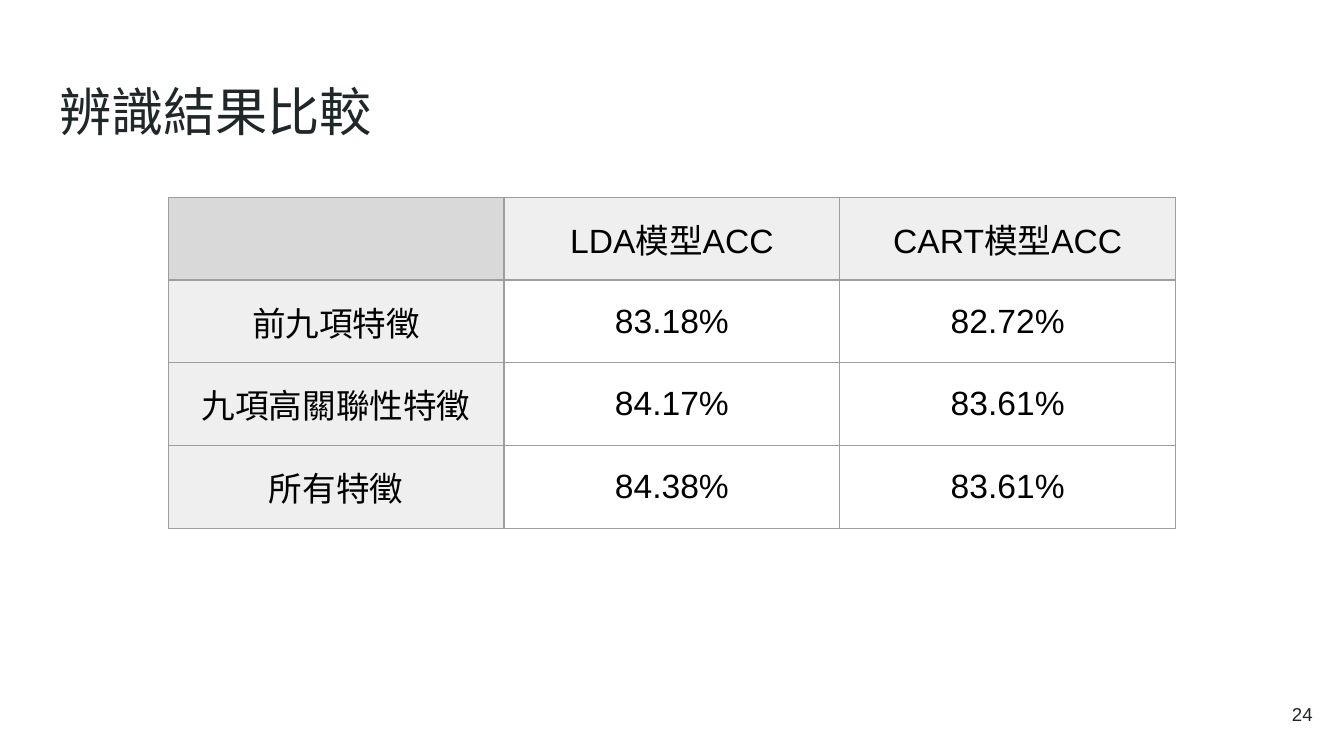
from lxml.etree import SubElement as add_child
from pptx import Presentation
from pptx.dml.color import RGBColor
from pptx.enum.text import MSO_ANCHOR as Anchor, PP_ALIGN as Align
from pptx.oxml.ns import qn
from pptx.util import Inches, Pt

WIDTH = Inches(10)
HEIGHT = WIDTH * 9 // 16
COLORS = {
    "title": "202729",
    "body": "000000",
    "corner": "D9D9D9",
    "header": "EFEFEF",
    "border": "9E9E9E",
}
MARGINS = {f"margin_{side}": Inches(0.1) for side in ("left", "right", "top", "bottom")}
RESULTS = [
    ["", "LDA模型ACC", "CART模型ACC"],
    ["前九項特徵", "83.18%", "82.72%"],
    ["九項高關聯性特徵", "84.17%", "83.61%"],
    ["所有特徵", "84.38%", "83.61%"],
]


def percent(left, top, width, height):
    """Turn percentages of the slide's size into a box."""
    return [round(part * side / 100) for part, side in
            zip((left, top, width, height), (WIDTH, HEIGHT) * 2)]


def set_all(target, values):
    for name, value in values.items():
        setattr(target, name, value)


def write(frame, text, size, color, align):
    para = frame.paragraphs[0]
    para.alignment = align
    span = para.add_run()
    span.text = text
    set_all(span.font, {"size": Pt(size), "name": "Arial"})
    span.font.color.rgb = RGBColor.from_string(COLORS[color])


def add_label(page, box, text, size, align, anchor):
    frame = page.shapes.add_textbox(*box).text_frame
    set_all(frame, {"word_wrap": True, "vertical_anchor": anchor, **MARGINS})
    write(frame, text, size, "title", align)


def draw_borders(cell):
    # Border lines must come before the fill in the cell properties
    properties = cell._tc.get_or_add_tcPr()
    for edge in ("lnL", "lnR", "lnT", "lnB"):
        line = add_child(properties, qn(f"a:{edge}"), w=str(Pt(0.75)))
        fill = add_child(line, qn("a:solidFill"))
        add_child(fill, qn("a:srgbClr"), val=COLORS["border"])


def add_results(page, box, rows):
    table = page.shapes.add_table(len(rows), len(rows[0]), *box).table
    set_all(table, {"first_row": False, "horz_banding": False})
    for r, row in enumerate(rows):
        for c, text in enumerate(row):
            cell = table.cell(r, c)
            set_all(cell, {"vertical_anchor": Anchor.MIDDLE, **MARGINS})
            draw_borders(cell)
            if r and c:
                cell.fill.background()
            else:
                cell.fill.solid()
                shade = "header" if r or c else "corner"
                cell.fill.fore_color.rgb = RGBColor.from_string(COLORS[shade])
            if text:
                write(cell.text_frame, text, 18, "body", Align.CENTER)


def main():
    deck = Presentation()
    set_all(deck, {"slide_width": WIDTH, "slide_height": HEIGHT})
    page = deck.slides.add_slide(deck.slide_layouts[6])

    # Title
    add_label(page, percent(3.41, 8.65, 93.2, 11.2), "辨識結果比較",
              28, Align.LEFT, Anchor.TOP)
    # Accuracy table, three columns by four rows
    add_results(page, percent(12.52, 26.1, 74.96, 43.8), RESULTS)
    # Page number
    add_label(page, percent(92.65, 90.67, 6, 7.65), "24",
              10, Align.RIGHT, Anchor.MIDDLE)

    deck.save("out.pptx")


if __name__ == "__main__":
    main()
